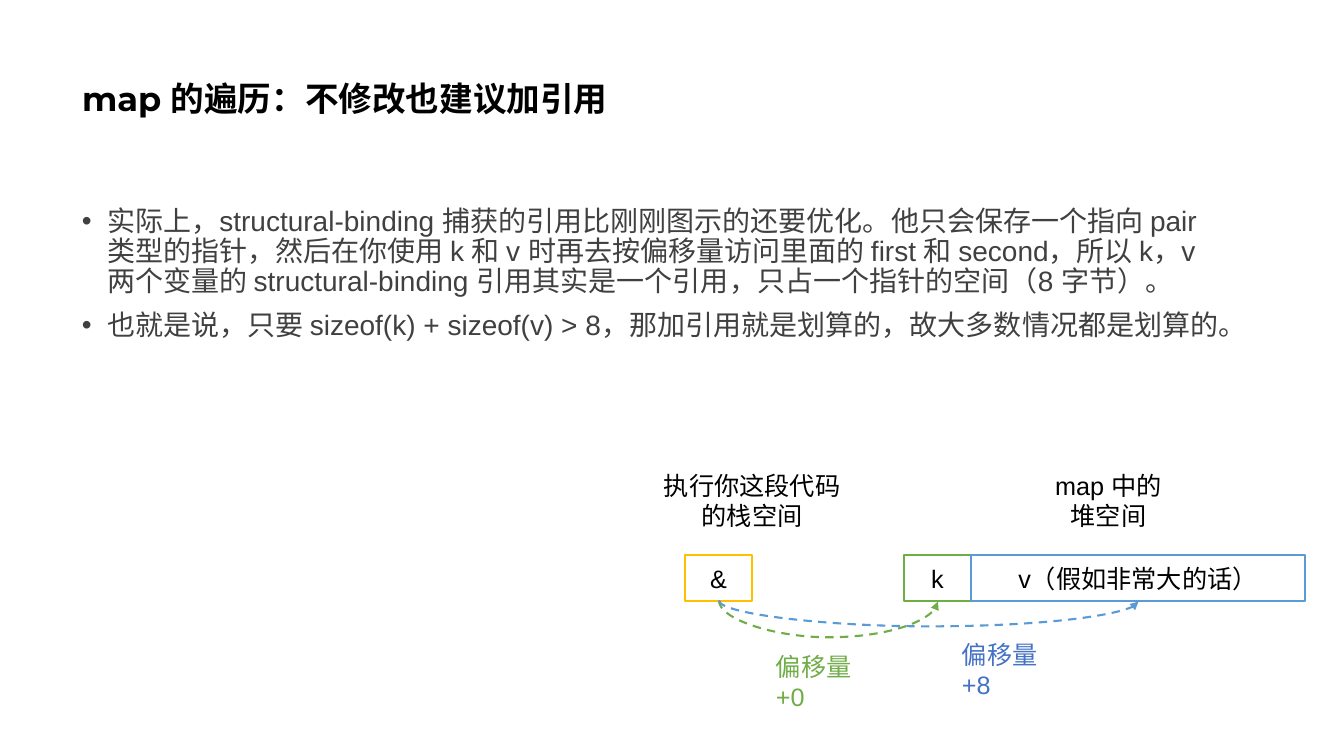
from dataclasses import dataclass

from pptx import Presentation
from pptx import util as u
from pptx.dml.color import RGBColor
from pptx.enum import dml, shapes, text
from pptx.oxml import parse_xml
from pptx.oxml.ns import nsdecls, qn

PX = 914400 / 100.8


@dataclass(frozen=True)
class Theme:
    black: str = "000000"
    grey: str = "404040"
    white: str = "FFFFFF"
    green: str = "70AD47"
    sky: str = "5B9BD5"
    blue: str = "4472C4"
    amber: str = "FFC000"
    heading: str = "Montserrat"
    body: str = "Arial"
    title_size: int = 24
    body_size: int = 20
    label_size: int = 18


THEME = Theme()
TITLE = "map 的遍历：不修改也建议加引用"
POINTS = [
    "实际上，structural-binding 捕获的引用比刚刚图示的还要优化。他只会保存一个指向 pair "
    "类型的指针，然后在你使用 k 和 v 时再去按偏移量访问里面的 first 和 second，所以 "
    "k，v 两个变量的 structural-binding 引用其实是一个引用，只占一个指针的空间（8 字节）。",
    "也就是说，只要 sizeof(k) + sizeof(v) > 8，那加引用就是划算的，故大多数情况都是划算的。",
]


def px(length):
    return u.Emu(round(length * PX))


def color(value):
    return RGBColor.from_string(value)


def write(para, content, size=THEME.label_size, ink=THEME.black,
          font=THEME.body, bold=False, align=text.PP_ALIGN.LEFT):
    """Add one formatted span to a paragraph."""
    para.alignment = align
    span = para.add_run()
    span.text = content
    span.font.name = font
    span.font.size = u.Pt(size)
    span.font.bold = bold
    span.font.color.rgb = color(ink)


def add_lines(frame, lines, **style):
    for index, line in enumerate(lines):
        para = frame.add_paragraph() if index else frame.paragraphs[0]
        write(para, line, **style)


def add_text(page, box, lines, **style):
    frame = page.shapes.add_textbox(*map(px, box)).text_frame
    frame.word_wrap = True
    add_lines(frame, lines, **style)
    return frame


def add_title(page, box):
    title = page.shapes.title
    title.left, title.top, title.width, title.height = map(px, box)
    frame = title.text_frame
    frame.auto_size = text.MSO_AUTO_SIZE.NONE
    frame.vertical_anchor = text.MSO_ANCHOR.MIDDLE
    frame.paragraphs[0].line_spacing = 0.9
    write(frame.paragraphs[0], TITLE, size=THEME.title_size,
          font=THEME.heading, bold=True)


def add_points(page, box):
    frame = add_text(page, box, POINTS, size=THEME.body_size, ink=THEME.grey)
    for index, para in enumerate(frame.paragraphs):
        layout = para._p.get_or_add_pPr()
        layout.set("marL", str(u.Inches(0.25)))
        layout.set("indent", str(-u.Inches(0.25)))
        layout.append(parse_xml(f'<a:buFont {nsdecls("a")} typeface="Arial"/>'))
        layout.append(parse_xml(f'<a:buChar {nsdecls("a")} char="•"/>'))
        para.line_spacing = 0.9
        para.space_before = u.Pt(10 if index else 0)


def add_cell(page, box, content, outline):
    cell = page.shapes.add_shape(shapes.MSO_SHAPE.RECTANGLE, *map(px, box))
    cell.shadow.inherit = False
    cell.fill.solid()
    cell.fill.fore_color.rgb = color(THEME.white)
    cell.line.color.rgb = color(outline)
    cell.line.width = u.Pt(1)
    cell.text_frame.vertical_anchor = text.MSO_ANCHOR.MIDDLE
    write(cell.text_frame.paragraphs[0], content, align=text.PP_ALIGN.CENTER)


def add_arc(page, start, end, base, depth, ink):
    """Hang a dashed curved arrow below two points on one level."""
    middle, half = (start + end) / 2, (end - start) / 2
    # An upright curve one px wide, turned a quarter to hang down
    arc = page.shapes.add_connector(
        shapes.MSO_CONNECTOR.CURVE,
        px(middle), px(base + half), px(middle + 1), px(base - half))
    arc.line.color.rgb = color(ink)
    arc.line.width = u.Pt(1.5)
    arc.line.dash_style = dml.MSO_LINE.DASH
    shape_xml = arc._element.spPr
    shape_xml.find(qn("a:xfrm")).set("rot", "5400000")
    guides = shape_xml.find(qn("a:prstGeom")).get_or_add_avLst()
    guides.append(parse_xml(
        f'<a:gd {nsdecls("a")} name="adj1" fmla="val {depth * 100000}"/>'))
    arc.line._get_or_add_ln().append(
        parse_xml(f'<a:tailEnd {nsdecls("a")} type="triangle"/>'))
    shape_xml.append(parse_xml(f'<a:effectLst {nsdecls("a")}/>'))


def add_memory_diagram(page, box):
    left, top, width, height = box
    row, cell_height, small, large = top + 90, 46, 67, 334
    value = left + width - large
    key = value - small
    reference = left + 41
    base = row + cell_height
    center = text.PP_ALIGN.CENTER

    # Memory cells
    for x, cell_width, content, outline in (
            (key, small, "k", THEME.green),
            (value, large, "v（假如非常大的话）", THEME.sky),
            (reference, small, "&", THEME.amber)):
        add_cell(page, (x, row, cell_width, cell_height), content, outline)

    # Offsets from the reference to each member
    start = reference + small / 2
    add_arc(page, start, key + small / 2, base, 37, THEME.green)
    add_arc(page, start, value + large / 2, base, 26, THEME.sky)

    # Captions
    add_text(page, (left, top, 216, 72), ["执行你这段代码", "的栈空间"], align=center)
    add_text(page, (left + 401, top, 127, 72), ["map 中的", "堆空间"], align=center)
    add_text(page, (left + 308, base + 33, 120, 70), ["偏移量+8"], ink=THEME.blue)
    add_text(page, (left + 122, base + 45, 120, 70), ["偏移量+0"], ink=THEME.green)


def main():
    deck = Presentation()
    deck.slide_width, deck.slide_height = px(1344), px(756)
    page = deck.slides.add_slide(deck.slide_layouts[5])
    add_title(page, (72, 28, 1159, 146))
    add_points(page, (72, 202, 1159, 480))
    add_memory_diagram(page, (644, 465, 661, 252))
    deck.save("out.pptx")


if __name__ == "__main__":
    main()
